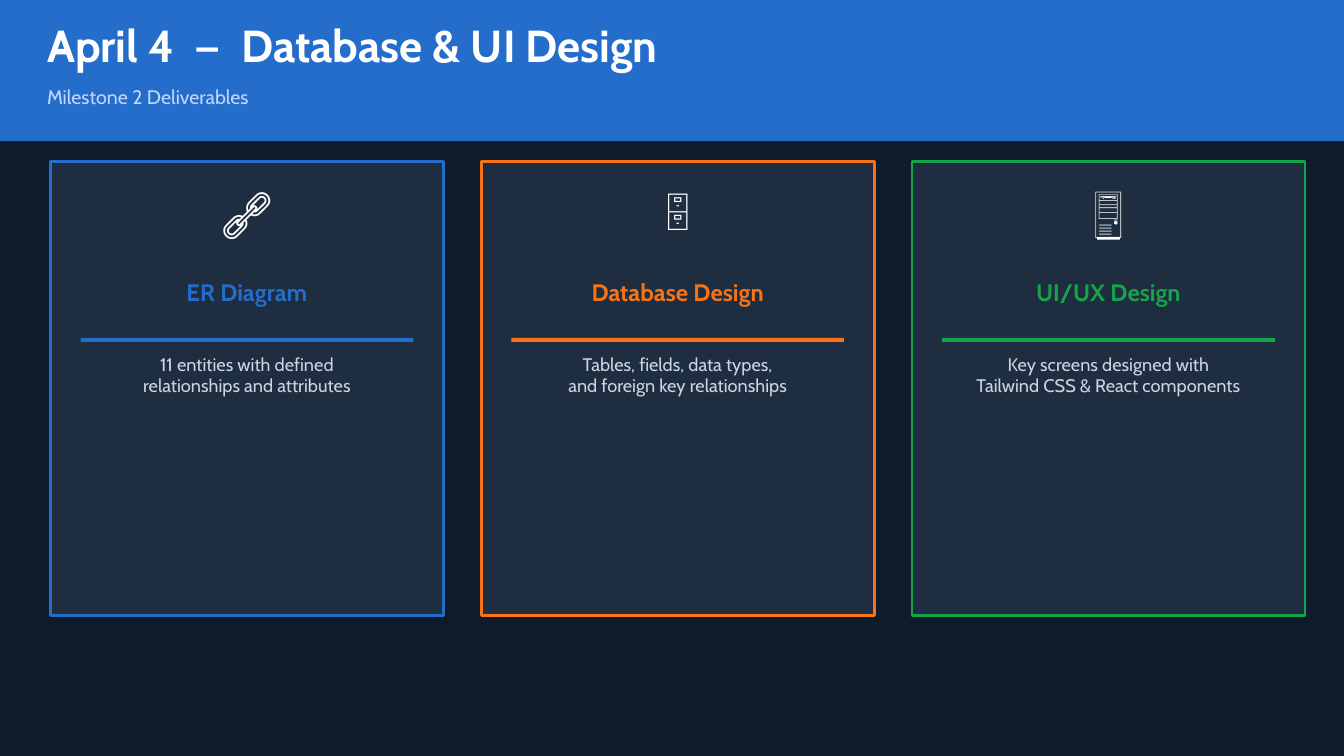
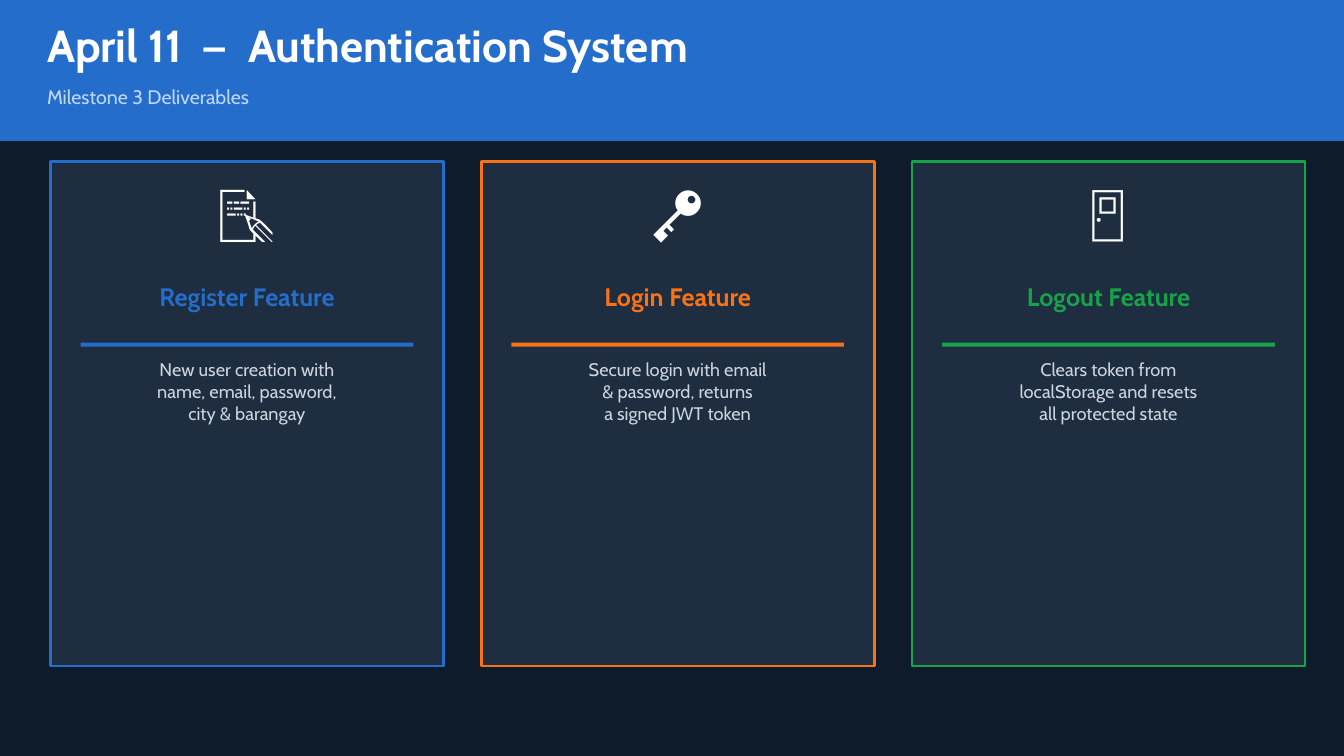
from pptx import Presentation
from pptx.dml.color import RGBColor
from pptx.enum.shapes import MSO_SHAPE as Shape
from pptx.enum.text import MSO_AUTO_SIZE as AutoSize, PP_ALIGN as Align
from pptx.util import Emu, Pt

PX = 9144
COLORS = {
    "night": "0D1B2A",
    "card": "1E2D40",
    "white": "FFFFFF",
    "subtitle": "BFD7FF",
    "body": "CBD5E1",
    "blue": "256DCA",
    "orange": "F97316",
    "green": "16A34A",
}
ACCENTS = ["blue", "orange", "green"]
FONT = "Cabin"
LINE_HEIGHT = 1.2
CARD_LEFT, CARD_TOP, CARD_WIDTH, CARD_STEP = 75, 240, 585, 641


def px(length):
    return Emu(length * PX)


def color(name):
    return RGBColor.from_string(COLORS[name])


class Deck:
    def __init__(self, width, height):
        self.width = width
        self.prs = Presentation()
        self.prs.slide_width, self.prs.slide_height = px(width), px(height)
        self.slide = None

    def new_slide(self, title, subtitle):
        self.slide = self.prs.slides.add_slide(self.prs.slide_layouts[6])
        background = self.slide.background.fill
        background.solid()
        background.fore_color.rgb = color("night")
        self.rect(0, 0, self.width, 210, "blue")
        self.text(70, 26, 1856, 104, [title], 48, "white", bold=True)
        self.text(70, 127, 1856, 55, [subtitle], 21, "subtitle")

    def rect(self, left, top, width, height, fill, border=None):
        box = self.slide.shapes.add_shape(
            Shape.RECTANGLE, px(left), px(top), px(width), px(height))
        box.shadow.inherit = False
        box.fill.solid()
        box.fill.fore_color.rgb = color(fill)
        if border:
            box.line.color.rgb = color(border)
            box.line.width = Pt(3)
        else:
            box.line.fill.background()

    def text(self, left, top, width, height, lines, size, ink,
             bold=False, align=Align.LEFT):
        frame = self.slide.shapes.add_textbox(
            px(left), px(top), px(width), px(height)).text_frame
        frame.word_wrap = True
        frame.auto_size = AutoSize.SHAPE_TO_FIT_TEXT
        frame.margin_left = frame.margin_right = 0
        frame.margin_top = frame.margin_bottom = 0
        frame.text = "\n".join(lines)
        for paragraph in frame.paragraphs:
            paragraph.alignment = align
            paragraph.line_spacing = Pt(size * LINE_HEIGHT)
            font = paragraph.font
            font.name, font.size, font.bold = FONT, Pt(size), bold
            font.color.rgb = color(ink)

    def card(self, left, accent, layout, icon, heading, lines):
        self.rect(left, CARD_TOP, CARD_WIDTH, layout["height"], "card", accent)
        self.text(left + 25, layout["icon_top"], 535, 138, [icon],
                  layout["icon_size"], "white", align=Align.CENTER)
        self.text(left + 25, layout["heading_top"], 535, 78, [heading],
                  layout["heading_size"], accent, bold=True, align=Align.CENTER)
        self.rect(left + 45, layout["rule_top"], 495, 6, accent)
        self.text(left + 40, layout["body_top"], 505, layout["body_height"],
                  lines, 19.5, "body", align=Align.CENTER)

    def milestone(self, title, subtitle, layout, deliverables):
        self.new_slide(title, subtitle)
        for column, (accent, deliverable) in enumerate(zip(ACCENTS, deliverables)):
            self.card(CARD_LEFT + column * CARD_STEP, accent, layout, *deliverable)


DESIGN_LAYOUT = dict(height=676, icon_top=268, icon_size=54, heading_top=413,
                     heading_size=25.5, rule_top=503, body_top=525, body_height=175)
AUTH_LAYOUT = dict(height=751, icon_top=262, icon_size=60, heading_top=419,
                   heading_size=27, rule_top=510, body_top=533, body_height=220)

DESIGN_DELIVERABLES = [
    ("🔗", "ER Diagram",
     ["11 entities with defined", "relationships and attributes"]),
    ("🗄️", "Database Design",
     ["Tables, fields, data types,", "and foreign key relationships"]),
    ("🖥️", "UI/UX Design",
     ["Key screens designed with", "Tailwind CSS & React components"]),
]
AUTH_DELIVERABLES = [
    ("📝", "Register Feature",
     ["New user creation with", "name, email, password,", "city & barangay"]),
    ("🔑", "Login Feature",
     ["Secure login with email", "& password, returns", "a signed JWT token"]),
    ("🚪", "Logout Feature",
     ["Clears token from", "localStorage and resets", "all protected state"]),
]


def main():
    deck = Deck(2000, 1125)
    deck.milestone("April 4  —  Database & UI Design", "Milestone 2 Deliverables",
                   DESIGN_LAYOUT, DESIGN_DELIVERABLES)
    deck.milestone("April 11  —  Authentication System", "Milestone 3 Deliverables",
                   AUTH_LAYOUT, AUTH_DELIVERABLES)
    deck.prs.save("out.pptx")


if __name__ == "__main__":
    main()
